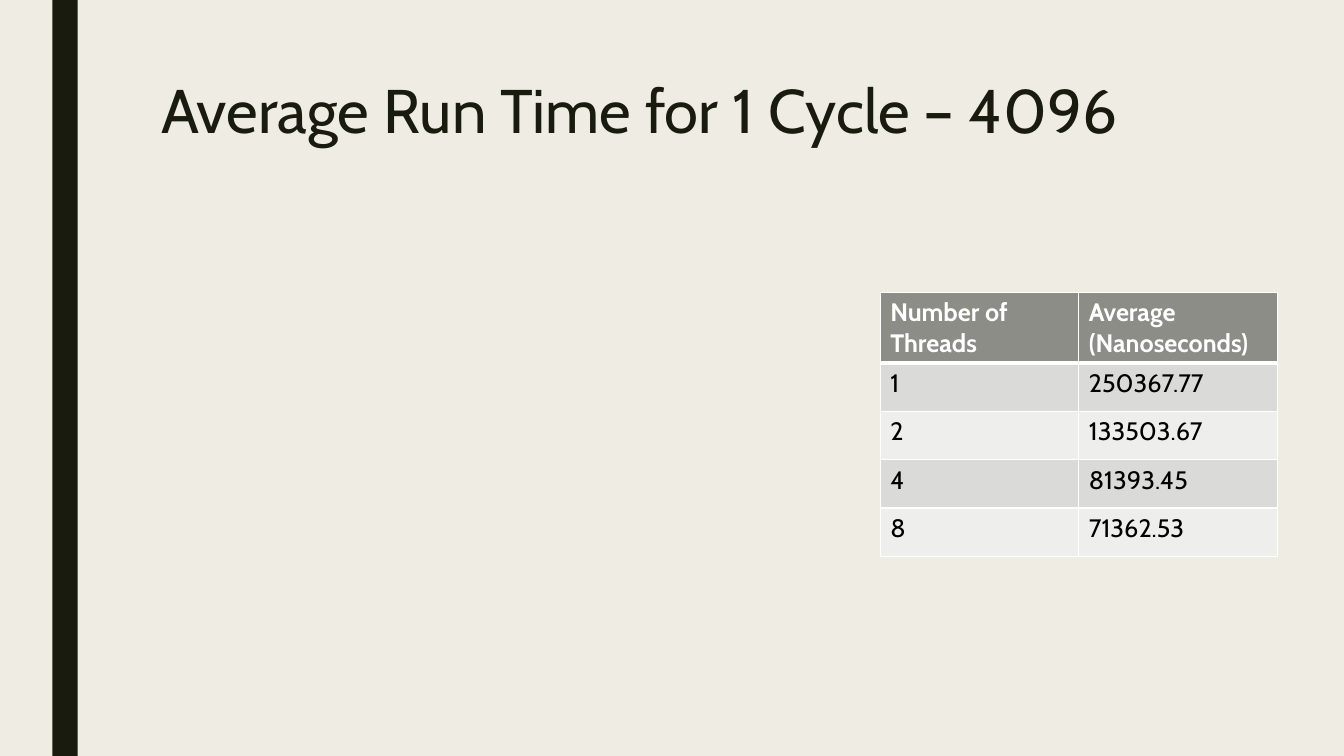
from dataclasses import dataclass

from lxml.etree import SubElement
from pptx import Presentation
from pptx.dml.color import RGBColor as Color
from pptx.enum.shapes import MSO_SHAPE as Shape
from pptx.enum.text import MSO_ANCHOR as Anchor
from pptx.oxml.ns import qn
from pptx.util import Inches, Pt

TITLE = "Average Run Time for 1 Cycle – 4096"
RUN_TIMES = [
    ("Number of Threads", "Average (Nanoseconds)"),
    ("1", "250367.77"),
    ("2", "133503.67"),
    ("4", "81393.45"),
    ("8", "71362.53"),
]


@dataclass(frozen=True)
class Theme:
    font: str = "Cabin"
    background: str = "EFEDE3"
    dark: str = "191B0E"
    header: str = "8C8D86"
    bands: tuple = ("DADBD9", "EEEEED")
    white: str = "FFFFFF"
    black: str = "000000"
    title_size: int = 44
    table_size: int = 18
    thin: int = 1
    thick: int = 3


THEME = Theme()
WIDTH, HEIGHT = 13.33, 7.5
BAR_LEFT, BAR_WIDTH = 0.52, 0.25
TITLE_BOX = (1.5, HEIGHT / 10, 10.5, 1.62)
TABLE_LEFT, TABLE_TOP = 8.73, 2.9
COLUMN_WIDTH, HEADER_HEIGHT, ROW_HEIGHT = 1.97, 0.67, 0.48


def paint(fill, color):
    fill.solid()
    fill.fore_color.rgb = Color.from_string(color)


def style(paragraph, size, color, bold=False):
    font = paragraph.font
    font.name, font.size, font.bold = THEME.font, Pt(size), bold
    font.color.rgb = Color.from_string(color)


def add_borders(cell, widths):
    properties = cell._tc.get_or_add_tcPr()
    for position, (side, width) in enumerate(widths.items()):
        line = SubElement(properties, qn(f"a:ln{side}"), w=str(Pt(width)))
        fill = SubElement(line, qn("a:solidFill"))
        SubElement(fill, qn("a:srgbClr"), val=THEME.white)
        properties.insert(position, line)


def add_bar(slide):
    box = map(Inches, (BAR_LEFT, 0, BAR_WIDTH, HEIGHT))
    bar = slide.shapes.add_shape(Shape.RECTANGLE, *box)
    bar.shadow.inherit = False
    paint(bar.fill, THEME.dark)
    bar.line.fill.background()


def add_title(slide):
    frame = slide.shapes.add_textbox(*map(Inches, TITLE_BOX)).text_frame
    frame.word_wrap = True
    frame.vertical_anchor = Anchor.TOP
    paragraph = frame.paragraphs[0]
    paragraph.text = TITLE
    paragraph.line_spacing = 0.89
    style(paragraph, THEME.title_size, THEME.dark)


def add_run_times(slide):
    row_count, column_count = len(RUN_TIMES), len(RUN_TIMES[0])
    height = HEADER_HEIGHT + ROW_HEIGHT * (row_count - 1)
    box = map(Inches, (TABLE_LEFT, TABLE_TOP, COLUMN_WIDTH * column_count, height))
    table = slide.shapes.add_table(row_count, column_count, *box).table
    for column in table.columns:
        column.width = Inches(COLUMN_WIDTH)
    for index, values in enumerate(RUN_TIMES):
        is_header = index == 0
        table.rows[index].height = Inches(HEADER_HEIGHT if is_header else ROW_HEIGHT)
        background = THEME.header if is_header else THEME.bands[(index - 1) % 2]
        widths = dict.fromkeys("LRTB", THEME.thin)
        if index < 2:
            widths["B" if is_header else "T"] = THEME.thick
        for cell, value in zip(table.rows[index].cells, values):
            cell.text = value
            color = THEME.white if is_header else THEME.black
            style(cell.text_frame.paragraphs[0], THEME.table_size, color, is_header)
            paint(cell.fill, background)
            add_borders(cell, widths)


presentation = Presentation()
presentation.slide_width, presentation.slide_height = Inches(WIDTH), Inches(HEIGHT)
slide = presentation.slides.add_slide(presentation.slide_layouts[6])
paint(slide.background.fill, THEME.background)
add_bar(slide)
add_title(slide)
add_run_times(slide)
presentation.save("out.pptx")
